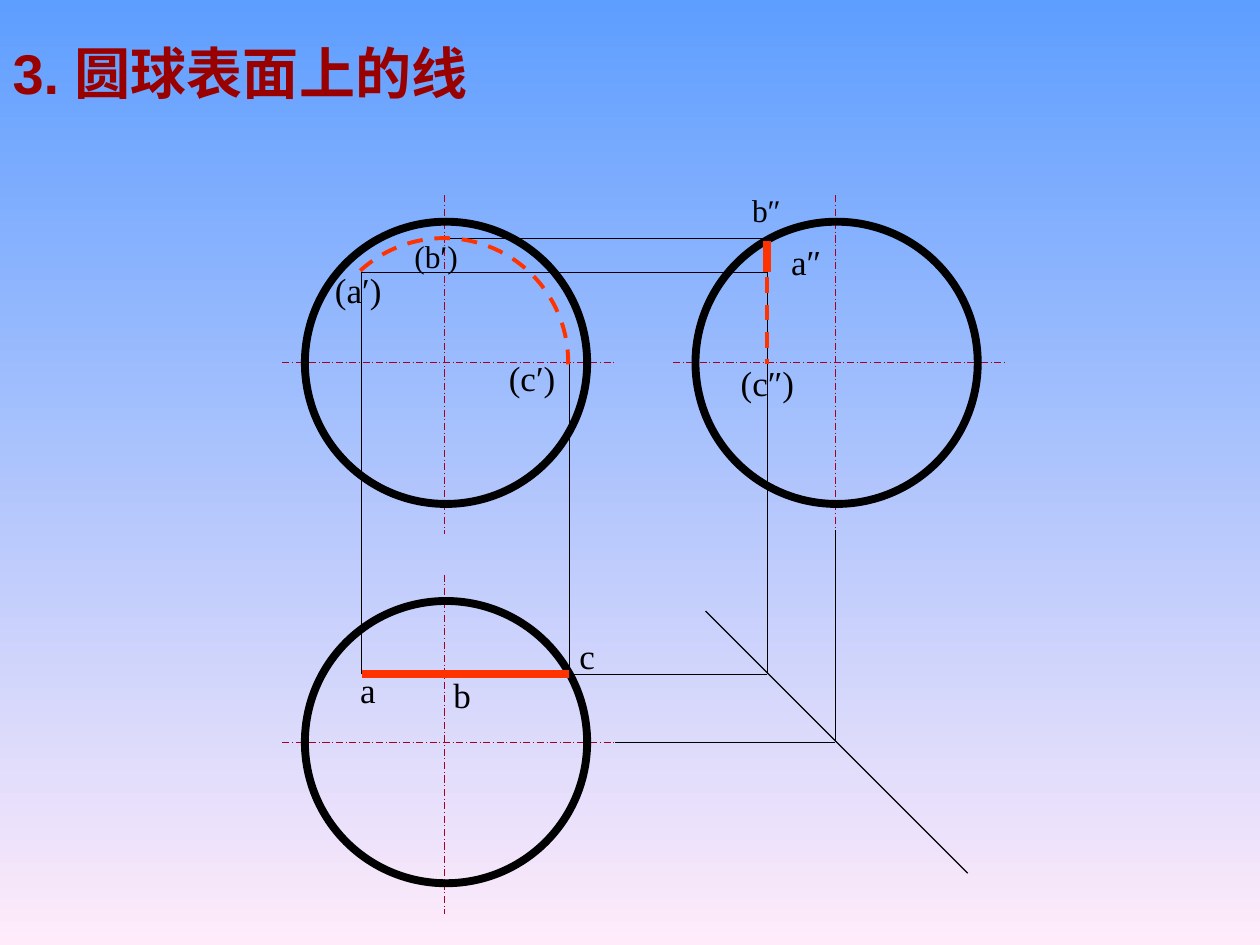
from lxml import etree
from pptx import Presentation
from pptx.dml.color import RGBColor
from pptx.enum.dml import MSO_LINE
from pptx.enum.shapes import MSO_CONNECTOR, MSO_SHAPE
from pptx.enum.text import MSO_ANCHOR, PP_ALIGN
from pptx.oxml.ns import qn
from pptx.util import Inches, Pt

STRAIGHT = MSO_CONNECTOR.STRAIGHT
AXIS_DASH = MSO_LINE.LONG_DASH_DOT
HIDDEN_DASH = MSO_LINE.DASH

BLACK = RGBColor(0x00, 0x00, 0x00)
AXIS_RED = RGBColor(0xA5, 0x00, 0x21)
CURVE_RED = RGBColor(0xFF, 0x33, 0x00)
TITLE_RED = RGBColor(0x99, 0x00, 0x00)
SKY = RGBColor(0x5E, 0x9E, 0xFF)
BLUSH = RGBColor(0xFF, 0xEB, 0xFA)

THIN, MEDIUM, DASHED, THICK = 0.5, 0.75, 2.25, 4.5
DIAMETER = 2.24

# Centres of the three projections and the columns and rows shared by them
FRONT_X, SIDE_X = 3.53, 6.63
FRONT_Y, TOP_Y = 2.88, 5.89
VIEWS = [(FRONT_X, TOP_Y), (FRONT_X, FRONT_Y), (SIDE_X, FRONT_Y)]
A_X, C_X, CUT_X = 2.87, 4.52, 6.09
B_Y, A_Y, CUT_Y = 1.89, 2.16, 5.35

PROJECTION_LINES = [
    (4.88, TOP_Y, SIDE_X, TOP_Y),
    (SIDE_X, 4.21, SIDE_X, TOP_Y),
    (A_X, CUT_Y, A_X, A_Y),
    (C_X, CUT_Y, C_X, FRONT_Y),
    (C_X, CUT_Y, CUT_X, CUT_Y),
    (CUT_X, CUT_Y, CUT_X, B_Y),
    (A_X, A_Y, CUT_X, A_Y),
    (FRONT_X, B_Y, CUT_X, B_Y),
]

# text, left, top, width, size
LABELS = [
    ("a", 2.76, 5.26, 0.33, 20),
    ("b", 3.5, 5.3, 0.41, 20),
    ("c", 4.5, 4.99, 0.41, 20),
    ("(a′)", 2.56, 2.08, 1.08, 20),
    ("(b′)", 3.19, 1.83, 0.8, 18),
    ("(c′)", 3.94, 2.78, 0.97, 20),
    ("a″", 6.18, 1.86, 0.61, 20),
    ("b″", 5.87, 1.47, 0.65, 18),
    ("(c″)", 5.78, 2.82, 0.81, 20),
]


def write(frame, text, *, font, size, color, bold=False):
    para = frame.paragraphs[0]
    para.alignment = PP_ALIGN.LEFT
    span = para.add_run()
    span.text = text
    span.font.name = font
    span.font.size = Pt(size)
    span.font.bold = bold
    span.font.color.rgb = color


class Drawing:
    """Holds the current slide and the style of its elements."""

    title_font = "Arial"
    label_font = "Times New Roman"

    def __init__(self, page):
        self.page = page

    def background(self, top, bottom):
        fill = self.page.background.fill
        fill.gradient()
        fill.gradient_angle = 270
        for stop, color, position in zip(fill.gradient_stops, (top, bottom), (0, 1)):
            stop.color.rgb = color
            stop.position = position

    def title(self, text):
        box = self.page.shapes.title
        box.left, box.top = Inches(0), Inches(-0.02)
        box.width, box.height = Inches(10), Inches(1.18)
        box.text_frame.vertical_anchor = MSO_ANCHOR.MIDDLE
        write(box.text_frame, text, font=self.title_font, size=32,
              color=TITLE_RED, bold=True)

    def stroke(self, line, color, width, dash=None):
        line.color.rgb = color
        line.width = Pt(width)
        if dash is not None:
            line.dash_style = dash

    def line(self, x1, y1, x2, y2, color=BLACK, width=THIN, dash=None):
        connector = self.page.shapes.add_connector(
            STRAIGHT, Inches(x1), Inches(y1), Inches(x2), Inches(y2))
        self.stroke(connector.line, color, width, dash)
        etree.SubElement(connector._element.spPr, qn("a:effectLst"))

    def outline(self, kind, left, top, size, color, width, dash=None):
        """Add an unfilled shape in a square frame."""
        shape = self.page.shapes.add_shape(
            kind, Inches(left), Inches(top), Inches(size), Inches(size))
        shape.shadow.inherit = False
        shape.fill.background()
        self.stroke(shape.line, color, width, dash)
        return shape

    def axes(self, x, y):
        self.line(x - 1.29, y, x + 1.34, y, AXIS_RED, THIN, AXIS_DASH)
        self.line(x, y - 1.33, x, y + 1.36, AXIS_RED, THIN, AXIS_DASH)

    def sphere(self, x, y):
        self.outline(MSO_SHAPE.OVAL, x - 1.11, y - 1.12, DIAMETER, BLACK, THICK)

    def arc(self, left, top, size, start, end):
        """Add a hidden arc, clockwise between two angles in degrees."""
        shape = self.outline(MSO_SHAPE.ARC, left, top, size,
                             CURVE_RED, DASHED, HIDDEN_DASH)
        for index, angle in enumerate((start, end)):
            shape.adjustments[index] = angle * 0.6  # 60000 units per degree

    def label(self, text, left, top, width, size):
        height = 0.44 if size == 20 else 0.4
        box = self.page.shapes.add_textbox(
            Inches(left), Inches(top), Inches(width), Inches(height))
        box.text_frame.word_wrap = True
        write(box.text_frame, text, font=self.label_font, size=size, color=BLACK)


def main():
    deck = Presentation()
    deck.slide_width, deck.slide_height = Inches(10), Inches(7.5)
    drawing = Drawing(deck.slides.add_slide(deck.slide_layouts[5]))
    drawing.background(SKY, BLUSH)
    drawing.title("3. 圆球表面上的线")

    for center in VIEWS:
        drawing.axes(*center)
    for center in VIEWS:
        drawing.sphere(*center)
    for ends in PROJECTION_LINES:
        drawing.line(*ends)
    drawing.line(5.6, 4.85, 7.68, 6.93, width=MEDIUM)

    drawing.line(A_X, CUT_Y, C_X, CUT_Y, CURVE_RED, THICK)
    drawing.arc(2.54, 1.89, 1.97, start=227.5, end=1)
    drawing.line(CUT_X, A_Y, CUT_X, 1.91, CURVE_RED, THICK)
    drawing.line(CUT_X, 2.2, CUT_X, 2.89, CURVE_RED, DASHED, HIDDEN_DASH)

    for label in LABELS:
        drawing.label(*label)
    deck.save("out.pptx")


if __name__ == "__main__":
    main()
